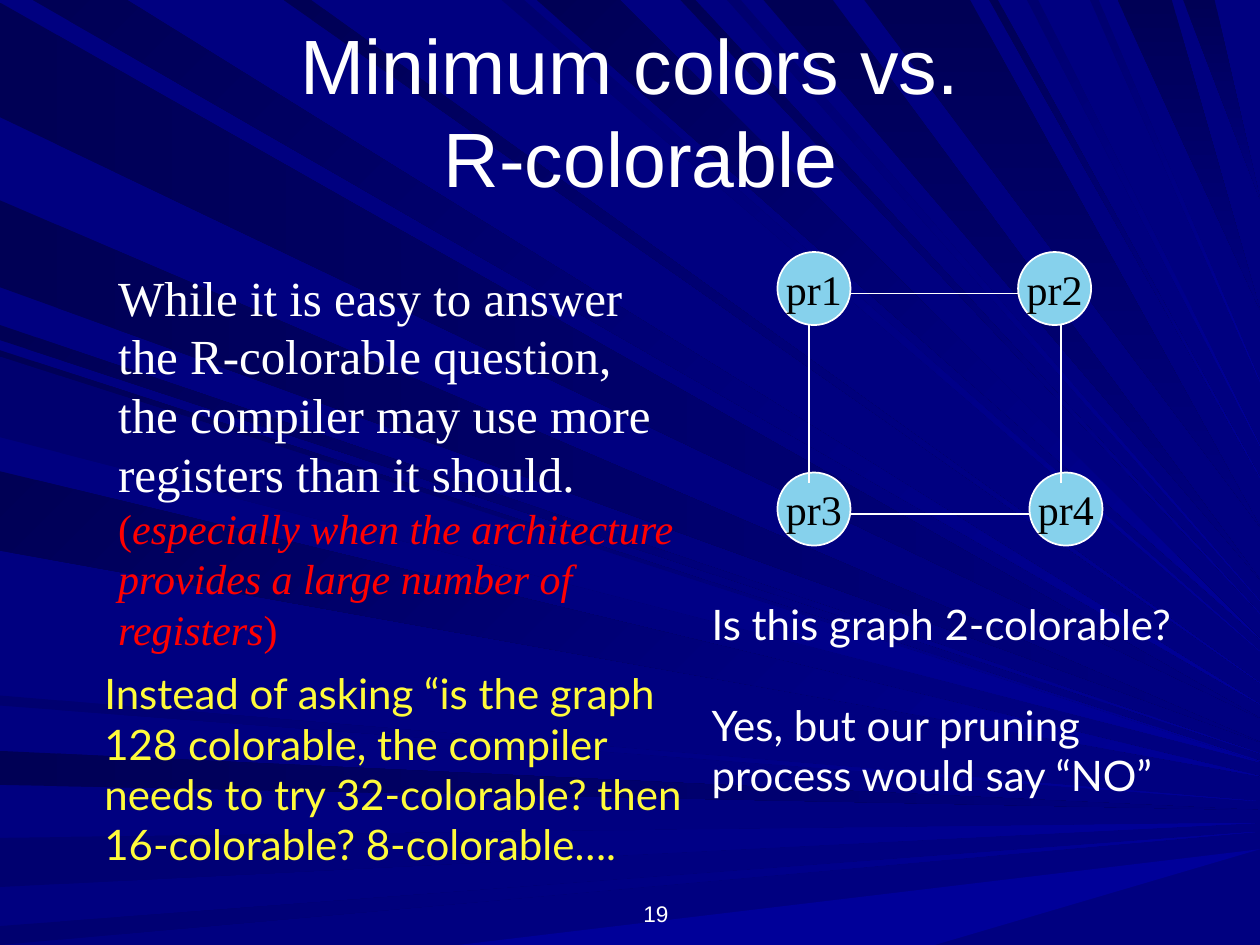
from lxml.etree import SubElement
from pptx import Presentation
from pptx.dml.color import RGBColor
from pptx.enum.shapes import MSO_CONNECTOR, MSO_SHAPE
from pptx.enum.text import MSO_ANCHOR as Anchor, PP_ALIGN as Align
from pptx.oxml.ns import qn
from pptx.util import Pt

PX = 9144  # 100 px to the inch
W, H = 1000, 750

WHITE = RGBColor(0xFF, 0xFF, 0xFF)
BLACK = RGBColor(0x00, 0x00, 0x00)
RED = RGBColor(0xFF, 0x00, 0x00)
YELLOW = RGBColor(0xFF, 0xFB, 0x3B)
SKY = RGBColor(0x86, 0xD1, 0xEC)
DARK = RGBColor(0x00, 0x00, 0x55)
DUSK = RGBColor(0x00, 0x00, 0x6F)
NAVY = RGBColor(0x00, 0x00, 0x80)
BLUE = RGBColor(0x00, 0x00, 0x99)

SANS, SERIF, BODY = "Arial", "Times New Roman", "Lato"

FOCUS_X, FOCUS_Y = 1150, 648  # where all rays would meet
# First colour, last colour, gradient angle, spans along the edge
LEFT_RAYS = [
    (DARK, NAVY, 0, [(2, 93), (159, 228), (596, 623)]),
    (DARK, BLUE, -45, [(258, 270), (278, 342), (374, 437)]),
    (DUSK, BLUE, 0, [(283, 347), (552, 560), (665, 704), (735, 750)]),
]
TOP_RAYS = [
    (DARK, BLUE, -45, [(26, 101), (225, 247), (426, 492), (540, 552), (785, 792)]),
    (DUSK, BLUE, -45, [(398, 416), (577, 588), (815, 824), (865, 872)]),
    (DARK, NAVY, -90, [(606, 661), (686, 770), (887, 930), (939, 964)]),
]
BOTTOM_RAYS = [(BLUE, BLUE, 0, [(364, 742)])]


def add_ray(s, start, end, first, last, angle):
    """Draw a triangle from an edge span to the right side, aimed at the focus."""
    x, y = ((a + b) / 2 for a, b in zip(start, end))
    tip = (W, round(y + (FOCUS_Y - y) * (W - x) / (FOCUS_X - x)))
    builder = s.shapes.build_freeform(*start, scale=PX)
    builder.add_line_segments([end, tip], close=True)
    sp = builder.convert_to_shape()
    sp.shadow.inherit = False
    sp.line.fill.background()
    sp.fill.gradient()
    sp.fill.gradient_angle = angle % 360
    for stop, colour in zip(sp.fill.gradient_stops, (first, last)):
        stop.color.rgb = colour


def add_rays(s):
    s.background.fill.solid()
    s.background.fill.fore_color.rgb = NAVY
    edges = [(LEFT_RAYS, lambda v: (0, v)), (BOTTOM_RAYS, lambda v: (v, H)),
             (TOP_RAYS, lambda v: (v, 0))]
    for groups, place in edges:
        for first, last, angle, spans in groups:
            for a, b in spans:
                add_ray(s, place(a), place(b), first, last, angle)


def style(p, font, size, colour, align=Align.LEFT):
    p.alignment = align
    p.line_spacing = Pt(round(size * 1.2, 1))
    p.font.name, p.font.size, p.font.color.rgb = font, Pt(size), colour


def add_text(s, box, lines, font, size, colour, align=Align.LEFT, anchor=Anchor.TOP):
    """Add a text box with one paragraph per line and return its text frame."""
    tf = s.shapes.add_textbox(*(v * PX for v in box)).text_frame
    tf.word_wrap = True
    tf.vertical_anchor = anchor
    tf.text = "\n".join(lines)
    for p in tf.paragraphs:
        style(p, font, size, colour, align)
    return tf


def add_argument(s, box):
    tf = add_text(s, box, ["While it is easy to answer", "the R-colorable question,",
                           "the compiler may use more", "registers than it should."],
                  SERIF, 28, WHITE)
    tf.margin_top = 45 * PX
    aside = [[("(", False), ("especially when the architecture", True)],
             [("provides a large number of", True)],
             [("registers", True), (")", False)]]
    for runs in aside:
        p = tf.add_paragraph()
        style(p, SERIF, 24, RED)
        for text, italic in runs:
            r = p.add_run()
            r.text, r.font.italic = text, italic


def add_node(s, x, y, size, name):
    sp = s.shapes.add_shape(MSO_SHAPE.OVAL, x * PX, y * PX, size * PX, size * PX)
    sp.shadow.inherit = False
    sp.fill.solid()
    sp.fill.fore_color.rgb = SKY
    sp.line.color.rgb, sp.line.width = WHITE, Pt(1)
    tf = sp.text_frame
    tf.word_wrap = False
    tf.vertical_anchor = Anchor.MIDDLE
    tf.text = name
    style(tf.paragraphs[0], SERIF, 24, BLACK, Align.CENTER)


def add_edge(s, *ends):
    line = s.shapes.add_connector(MSO_CONNECTOR.STRAIGHT, *(v * PX for v in ends))
    line.line.color.rgb, line.line.width = WHITE, Pt(0.75)
    SubElement(line._element.spPr, qn("a:effectLst"))


def add_graph(s, x, y):
    """Draw the four-node cycle with its top left corner at x, y."""
    size, low = 58, 175
    nodes = {"pr1": (0, 0), "pr2": (191, 0), "pr3": (0, low), "pr4": (200, low)}
    for name, (dx, dy) in nodes.items():
        add_node(s, x + dx, y + dy, size, name)
    for dx in (25, 225):
        add_edge(s, x + dx, y + size, x + dx, y + low + 8)
    for right in ("pr2", "pr4"):
        dx, dy = nodes[right]
        add_edge(s, x + size, y + dy + 33, x + dx, y + dy + 33)


def add_answer(s, box):
    tf = add_text(s, box, ["Is this graph 2-colorable?", "Yes, but our pruning",
                           "process would say “NO”"], BODY, 24, WHITE)
    tf.paragraphs[1].space_before = Pt(28.8)


def main():
    prs = Presentation()
    prs.slide_width, prs.slide_height = W * PX, H * PX
    s = prs.slides.add_slide(prs.slide_layouts[6])
    add_rays(s)
    add_text(s, (183, 708, 675, 33), ["19"], SANS, 12.9, WHITE, Align.CENTER, Anchor.BOTTOM)
    add_text(s, (75, 42, 867, 91), ["Minimum colors vs. \vR-colorable"],
             SANS, 44, WHITE, Align.CENTER, Anchor.MIDDLE)
    add_argument(s, (84, 167, 463, 397))
    add_graph(s, 617, 200)
    add_answer(s, (555, 470, 414, 170))
    add_text(s, (73, 525, 505, 170),
             ["Instead of asking “is the graph", "128 colorable, the compiler",
              "needs to try 32-colorable? then", "16-colorable? 8-colorable…."],
             BODY, 24, YELLOW)
    prs.save("out.pptx")


if __name__ == "__main__":
    main()
